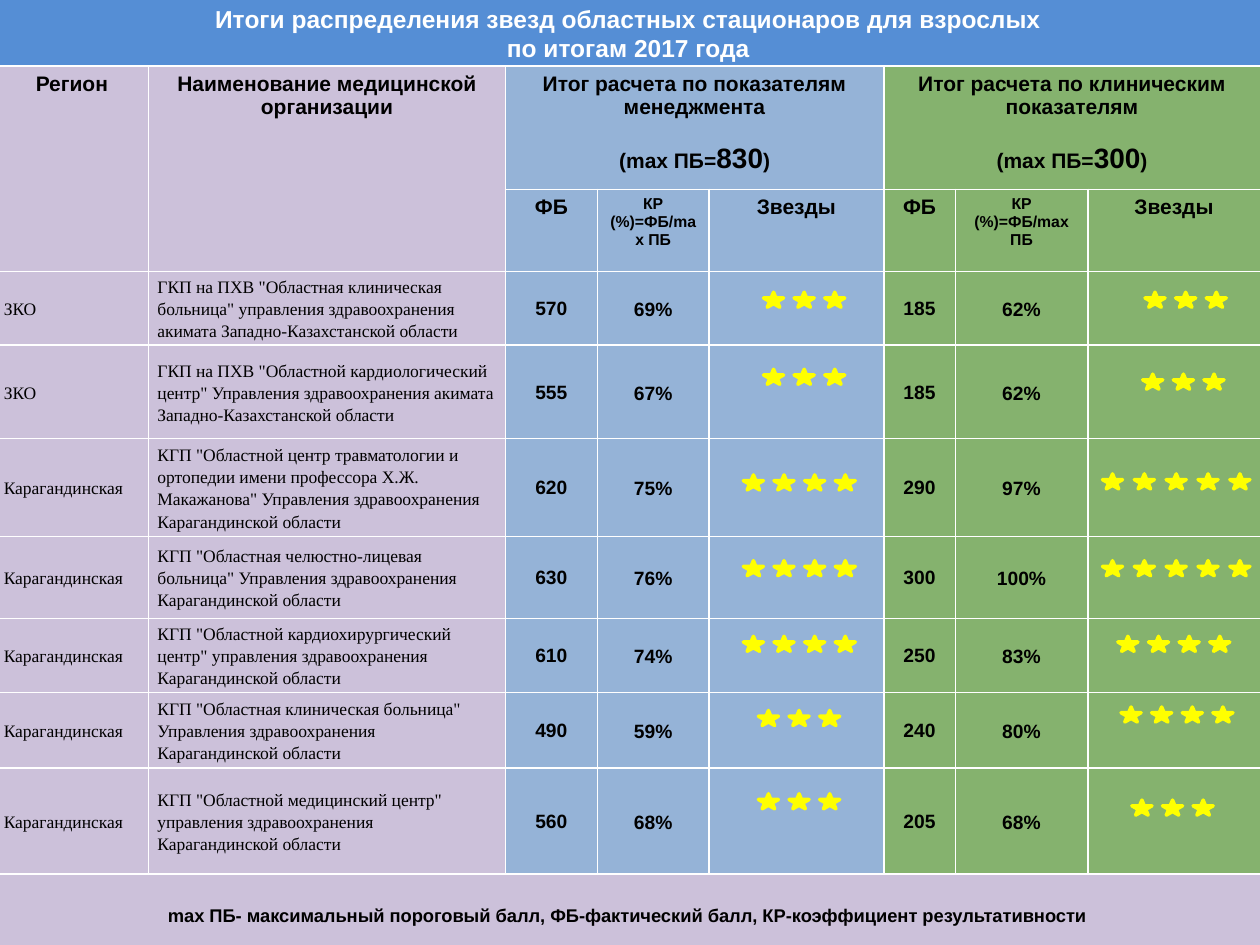
from lxml import etree
from pptx import Presentation
from pptx.dml.color import RGBColor
from pptx.enum.shapes import MSO_SHAPE
from pptx.enum.text import MSO_ANCHOR, PP_ALIGN
from pptx.oxml.ns import qn
from pptx.util import Pt

STAR = MSO_SHAPE.STAR_5_POINT
TOP, MIDDLE = MSO_ANCHOR.TOP, MSO_ANCHOR.MIDDLE
LEFT, CENTER = PP_ALIGN.LEFT, PP_ALIGN.CENTER
LILAC, BLUE, GREEN = "CCC1DA", "95B3D7", "85B26E"
TITLE_BLUE, YELLOW, WHITE, BLACK = "558ED5", "FFFF00", "FFFFFF", "000000"
SERIF = "Times New Roman"
HEADER_INSETS = (7.2, 3.6, 7.2, 3.6)
TEXT_INSETS = (5, 0, 5, 0)
SCORE_INSETS = (0.7, 0.7, 0.7, 0)

COLUMN_WIDTHS = [87.8, 203.8, 52.6, 63.8, 99.9, 40.9, 75.7, 98.6]
ROW_HEIGHTS = [70.6, 47.1, 42, 53.4, 56, 46.8, 42.2, 43.4, 60.6, 46.8]
COLUMN_FILLS = [LILAC] * 2 + [BLUE] * 3 + [GREEN] * 3

KARAGANDA = "Карагандинская"
HOSPITALS = [
    ("ЗКО", 'ГКП на ПХВ "Областная клиническая больница" управления здравоохранения '
     "акимата Западно-Казахстанской области",
     ("570", "69%", 3, 436.3, 167), ("185", "62%", 3, 654.3, 167)),
    ("ЗКО", 'ГКП на ПХВ "Областной кардиологический центр" Управления здравоохранения '
     "акимата Западно-Казахстанской области",
     ("555", "67%", 3, 436.3, 211), ("185", "62%", 3, 653, 213.8)),
    (KARAGANDA, 'КГП "Областной центр травматологии и ортопедии имени профессора '
     'Х.Ж. Макажанова" Управления здравоохранения Карагандинской области',
     ("620", "75%", 4, 424.8, 271.4), ("290", "97%", 5, 630, 270.8)),
    (KARAGANDA, 'КГП "Областная челюстно-лицевая больница" Управления здравоохранения '
     "Карагандинской области",
     ("630", "76%", 4, 424.8, 320.4), ("300", "100%", 5, 630, 320.4)),
    (KARAGANDA, 'КГП "Областной кардиохирургический центр" управления здравоохранения '
     "Карагандинской области",
     ("610", "74%", 4, 424.8, 363.6), ("250", "83%", 4, 638.8, 363.6)),
    (KARAGANDA, 'КГП "Областная клиническая больница" Управления здравоохранения '
     "Карагандинской области",
     ("490", "59%", 3, 433.4, 406), ("240", "80%", 4, 640.6, 404)),
    (KARAGANDA, 'КГП "Областной медицинский центр" управления здравоохранения '
     "Карагандинской области",
     ("560", "68%", 3, 433.4, 453.6), ("205", "68%", 3, 646.8, 457.2)),
]


def color(value):
    return RGBColor.from_string(value)


def write(para, text, size=12, font="Arial", bold=True, ink=BLACK, align=CENTER, spacing=None):
    para.alignment = align
    if spacing:
        para.line_spacing = spacing
    for index, line in enumerate(text.split("\n")):
        if index:
            para.add_line_break()
        span = para.add_run()
        span.text = line
        span.font.size = Pt(size)
        span.font.name = font
        span.font.bold = bold
        span.font.color.rgb = color(ink)
    for line_break in para._p.findall(qn("a:br")):
        etree.SubElement(line_break, qn("a:rPr"), sz=str(size * 100))


def format_cell(cell, fill):
    properties = cell._tc.get_or_add_tcPr()
    for side in ("lnL", "lnR", "lnT", "lnB"):
        line = etree.SubElement(properties, qn(f"a:{side}"), w=str(Pt(1)))
        solid = etree.SubElement(line, qn("a:solidFill"))
        etree.SubElement(solid, qn("a:srgbClr"), val=WHITE)
    cell.fill.solid()
    cell.fill.fore_color.rgb = color(fill)


def write_cell(cell, text, insets=HEADER_INSETS, anchor=TOP, **style):
    cell.margin_left, cell.margin_top, cell.margin_right, cell.margin_bottom = map(Pt, insets)
    cell.vertical_anchor = anchor
    write(cell.text_frame.paragraphs[0], text, **style)


def add_title(page, left, top, width, height):
    title = page.shapes.title
    title.left, title.top, title.width, title.height = map(Pt, (left, top, width, height))
    title.fill.solid()
    title.fill.fore_color.rgb = color(TITLE_BLUE)
    title.text_frame.vertical_anchor = MIDDLE
    write(title.text_frame.paragraphs[0],
          "Итоги распределения звезд областных стационаров для взрослых\nпо итогам 2017 года",
          size=14, ink=WHITE)


def fill_header(table):
    for column, text in enumerate(["Регион", "Наименование медицинской организации"]):
        table.cell(0, column).merge(table.cell(1, column))
        write_cell(table.cell(0, column), text)
    groups = [(2, "Итог расчета по показателям менеджмента", "830"),
              (5, "Итог расчета по клиническим показателям", "300")]
    for first, heading, maximum in groups:
        cell = table.cell(0, first)
        cell.merge(table.cell(0, first + 2))
        write_cell(cell, heading)
        para = cell.text_frame.add_paragraph()
        para.space_before = Pt(13.8)
        for text, size in [("(mах ПБ=", 12), (maximum, 16), (")", 12)]:
            write(para, text, size=size)
        write_cell(table.cell(1, first), "ФБ")
        write_cell(table.cell(1, first + 1), "КР (%)=ФБ/max ПБ", size=9)
        write_cell(table.cell(1, first + 2), "Звезды")


def fill_hospital(table, row, region, name, *results):
    for column, text in enumerate([region, name]):
        write_cell(table.cell(row, column), text, TEXT_INSETS, MIDDLE, size=10,
                   font=SERIF, bold=False, align=LEFT, spacing=1.15)
    for first, (score, ratio, *_) in zip((2, 5), results):
        write_cell(table.cell(row, first), score, SCORE_INSETS, MIDDLE, size=11)
        write_cell(table.cell(row, first + 1), ratio, TEXT_INSETS, MIDDLE, size=11, spacing=1.15)


def add_results_table(page, left, top, width, height):
    frame = page.shapes.add_table(len(ROW_HEIGHTS), len(COLUMN_WIDTHS),
                                  Pt(left), Pt(top), Pt(width), Pt(height))
    table = frame.table
    table.first_row = table.horz_banding = False
    for column, size in zip(table.columns, COLUMN_WIDTHS):
        column.width = Pt(size)
    for row, size in zip(table.rows, ROW_HEIGHTS):
        row.height = Pt(size)
    last = len(ROW_HEIGHTS) - 1
    for index, row in enumerate(table.rows):
        for cell, fill in zip(row.cells, COLUMN_FILLS):
            format_cell(cell, LILAC if index == last else fill)
    fill_header(table)
    for row, hospital in enumerate(HOSPITALS, start=2):
        fill_hospital(table, row, *hospital)
    table.cell(last, 0).merge(table.cell(last, len(COLUMN_WIDTHS) - 1))
    write_cell(table.cell(last, 0),
               "mах ПБ- максимальный пороговый балл, ФБ-фактический балл, "
               "КР-коэффициент результативности", SCORE_INSETS, MIDDLE, size=10.5)


def add_stars(page, count, left, top):
    group = page.shapes.add_group_shape()
    step = 18.2 if count == 5 else 17.5
    for index in range(count):
        star = group.shapes.add_shape(STAR, Pt(left + index * step), Pt(top), Pt(11.5), Pt(8.6))
        star.shadow.inherit = False
        star.fill.solid()
        star.fill.fore_color.rgb = color(YELLOW)
        star.line.color.rgb = color(YELLOW)
        star.line.width = Pt(2)


def main():
    deck = Presentation()
    deck.slide_width, deck.slide_height = Pt(720), Pt(540)
    page = deck.slides.add_slide(deck.slide_layouts[5])
    add_title(page, -2, -0.7, 722, 39.6)
    add_results_table(page, -2.8, 37.6, sum(COLUMN_WIDTHS), sum(ROW_HEIGHTS))
    for _, _, *results in HOSPITALS:
        for _, _, count, left, top in results:
            add_stars(page, count, left, top)
    deck.save("out.pptx")


if __name__ == "__main__":
    main()
